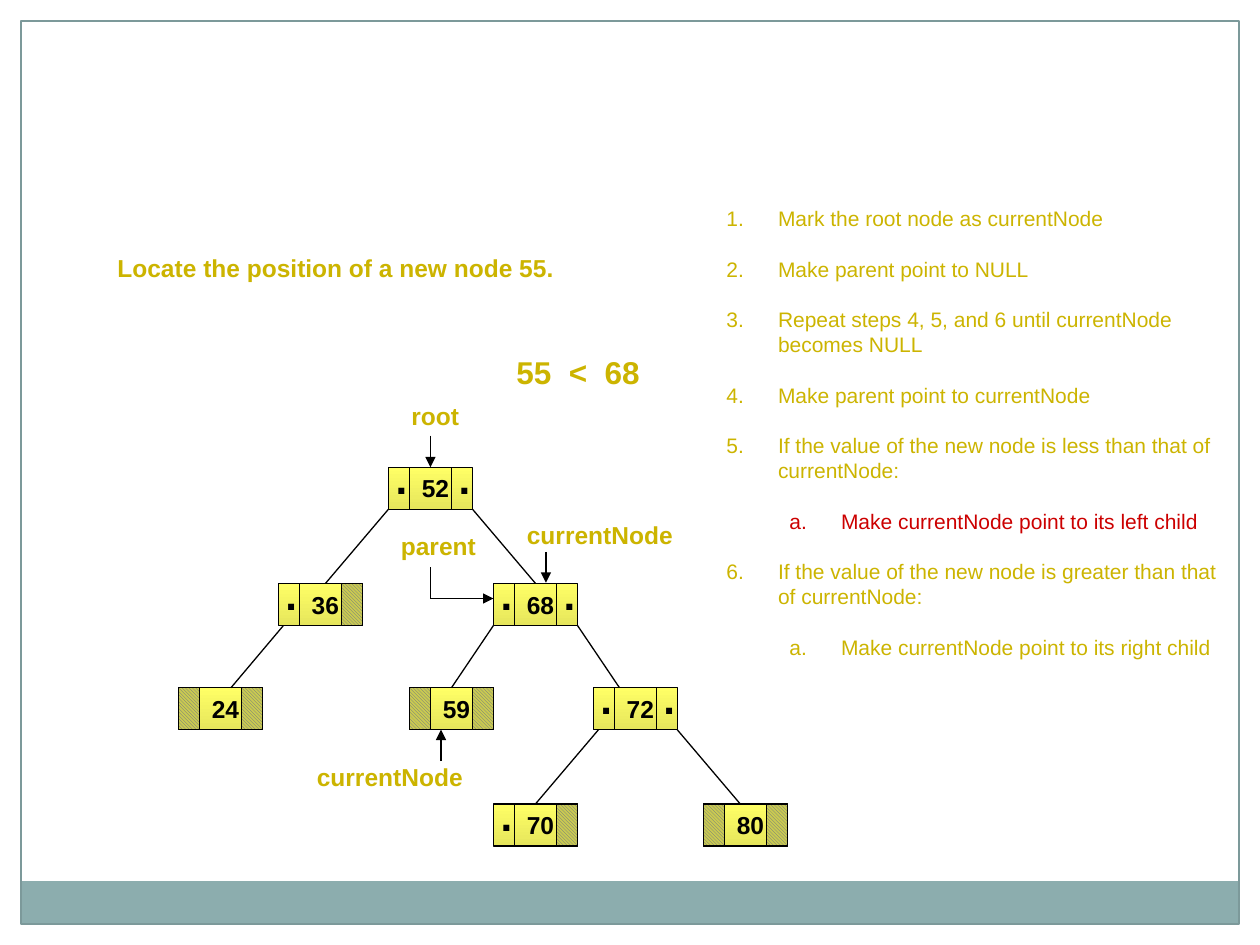
from lxml import etree
from pptx import Presentation
from pptx.dml.color import RGBColor
from pptx.enum.dml import MSO_PATTERN
from pptx.enum.shapes import MSO_CONNECTOR, MSO_SHAPE
from pptx.oxml.ns import qn
from pptx.util import Pt

RECT = MSO_SHAPE.RECTANGLE
STRAIGHT = MSO_CONNECTOR.STRAIGHT
HATCH = MSO_PATTERN.DARK_DOWNWARD_DIAGONAL

BLACK = RGBColor(0, 0, 0)
GOLD = RGBColor(0xCC, 0xB4, 0x00)
RED = RGBColor(0xCC, 0x00, 0x00)
TEAL = RGBColor(0x8C, 0xAD, 0xAE)
EDGE = RGBColor(0x7C, 0x99, 0x9A)
LIGHT = RGBColor(0xFF, 0xFF, 0x66)
DARK = RGBColor(0xE6, 0xE6, 0x5C)
SLATE = RGBColor(0x64, 0x6B, 0x86)
OLIVE = RGBColor(0xCA, 0xCA, 0x51)

WIDE, HIGH, CELL = 48, 24, 12

# value: left, top, sides that hold a pointer
NODES = {
    52: (120, 69, "LR"),
    36: (57, 135.4, "L"), 68: (180, 135.4, "LR"),
    24: (0, 195, ""), 59: (132, 195, ""), 72: (237, 195, "LR"),
    70: (180, 261.4, "L"), 80: (300, 261.4, ""),
}
# parent, child, start from parent's left, end from child's left
LINKS = [
    (52, 36, 0, 27), (52, 68, WIDE, 24), (36, 24, 3, 30), (68, 59, 0, 24),
    (68, 72, WIDE, 15), (72, 70, 3, 24), (72, 80, WIDE, 21),
]
LABELS = [
    ("55  <  68", 186, 0, 108, 18), ("root", 126, 27.4, 48, 14),
    ("currentNode", 192, 95.8, 102, 14), ("parent", 120, 102, 66, 14),
    ("currentNode", 72, 234, 102, 14),
]
# text, level, colour
STEPS = [
    ("Mark the root node as currentNode", 0, GOLD),
    ("Make parent point to NULL", 0, GOLD),
    ("Repeat steps 4, 5, and 6 until currentNode becomes NULL", 0, GOLD),
    ("Make parent point to currentNode", 0, GOLD),
    ("If the value of the new node is less than that of currentNode:", 0, GOLD),
    ("Make currentNode point to its left child", 1, RED),
    ("If the value of the new node is greater than that of currentNode:", 0, GOLD),
    ("Make currentNode point to its right child", 1, GOLD),
]


def style(para, size, color, bold=True):
    font = para.font
    font.name, font.size, font.bold = "Arial", Pt(size), bold
    font.color.rgb = color


def add_text(slide, text, left, top, width, height, size, color=GOLD, wrap=True):
    box = slide.shapes.add_textbox(Pt(left), Pt(top), Pt(width), Pt(height))
    box.text_frame.word_wrap = wrap
    para = box.text_frame.paragraphs[0]
    para.text = text
    style(para, size, color)


def add_rect(slide, left, top, width, height, line=BLACK):
    rect = slide.shapes.add_shape(RECT, Pt(left), Pt(top), Pt(width), Pt(height))
    rect.shadow.inherit = False
    rect.line.color.rgb = line
    rect.line.width = Pt(0.75)
    return rect


def add_line(slide, x1, y1, x2, y2, arrow=False):
    line = slide.shapes.add_connector(STRAIGHT, Pt(x1), Pt(y1), Pt(x2), Pt(y2))
    line.line.color.rgb = BLACK
    line.line.width = Pt(0.75)
    if arrow:
        etree.SubElement(line.line._get_or_add_ln(), qn("a:tailEnd"), type="triangle")
    etree.SubElement(line._element.spPr, qn("a:effectLst"))
    return line


def add_frame(slide, left, top, width, height):
    band = add_rect(slide, left, top + height - 24.5, width, 24.5)
    band.fill.solid()
    band.fill.fore_color.rgb = TEAL
    band.line.fill.background()
    add_rect(slide, left, top, width, height, EDGE).fill.background()


def add_node(slide, value, left, top, held):
    """Draw a value between two cells: a dot for a pointer, hatching for none."""
    body = add_rect(slide, left, top, WIDE, HIGH)
    body.fill.gradient()
    body.fill.gradient_angle = 270
    for stop, color in zip(body.fill.gradient_stops, (LIGHT, DARK)):
        stop.color.rgb = color
    for x in (left + CELL, left + WIDE - CELL):
        add_line(slide, x, top, x, top + HIGH)
    add_text(slide, str(value), left + CELL, top, 30, HIGH, 14, BLACK, False)
    for side, x in (("L", left), ("R", left + WIDE - CELL)):
        if side in held:
            add_text(slide, ".", x - 3, top - 12, 21, 36, 24, BLACK, False)
        else:
            cell = add_rect(slide, x, top, CELL, HIGH)
            cell.fill.patterned()
            cell.fill.pattern = HATCH
            cell.fill.fore_color.rgb = SLATE
            cell.fill.back_color.rgb = OLIVE
    return body


def add_tree(slide, left, top):
    nodes = {value: add_node(slide, value, left + x, top + y, held)
             for value, (x, y, held) in NODES.items()}
    for head, child, start, end in LINKS:
        x1, y1, _ = NODES[head]
        x2, y2, _ = NODES[child]
        line = add_line(slide, left + x1 + start, top + y1 + HIGH,
                        left + x2 + end, top + y2)
        if end == WIDE / 2:
            line.end_connect(nodes[child], 0)
    for text, x, y, width, size in LABELS:
        add_text(slide, text, left + x, top + y, width, size + 10, size)
    root = add_line(slide, left + 144, top + 51, left + 144, top + 69, True)
    root.end_connect(nodes[52], 0)
    add_line(slide, left + 210, top + 117.4, left + 210, top + 135, True)
    add_line(slide, left + 144, top + 126, left + 144, top + 144)
    add_line(slide, left + 144, top + 144, left + 180, top + 144, True)
    add_line(slide, left + 150, top + 237, left + 150, top + 219, True)


def add_steps(slide, left, top, width, height):
    box = slide.shapes.add_textbox(Pt(left), Pt(top), Pt(width), Pt(height))
    frame = box.text_frame
    frame.word_wrap = True
    for i, (text, level, color) in enumerate(STEPS):
        para = frame.add_paragraph() if i else frame.paragraphs[0]
        para.text = text
        para.level = level
        para.line_spacing = para.space_after = Pt(14.4)
        style(para, 12, color, False)
        props = para._p.get_or_add_pPr()
        props.set("marL", str(Pt(29.5 + 36 * level)))
        props.set("indent", str(Pt(-29.5)))
        kind = "alphaLcPeriod" if level else "arabicPeriod"
        mark = etree.Element(qn("a:buAutoNum"), type=kind)
        props.find(qn("a:defRPr")).addprevious(mark)


def main():
    deck = Presentation()
    deck.slide_width, deck.slide_height = Pt(720), Pt(540)
    slide = deck.slides.add_slide(deck.slide_layouts[6])
    add_frame(slide, 12, 12, 696, 516)
    add_text(slide, "Locate the position of a new node 55.", 60, 141, 264, 24, 14)
    add_steps(slide, 408, 114, 300, 280)
    add_tree(slide, 102, 198)
    deck.save("out.pptx")


if __name__ == "__main__":
    main()
